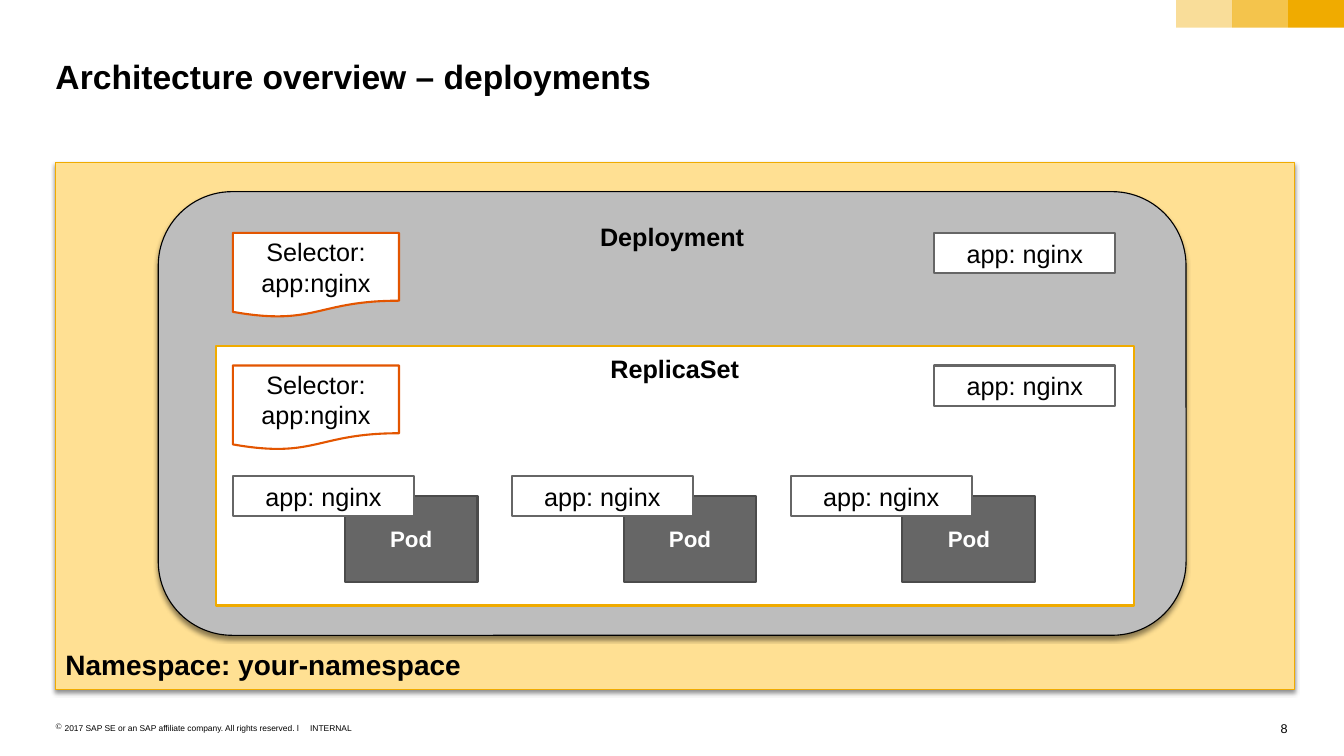
"""Build the slide showing how a deployment, its replica set and its pods are labelled."""
from dataclasses import dataclass
from typing import Optional

from lxml import etree
from pptx import Presentation
from pptx.dml.color import RGBColor
from pptx.enum.shapes import MSO_SHAPE
from pptx.enum.text import MSO_ANCHOR, PP_ALIGN
from pptx.oxml.ns import qn
from pptx.util import Cm, Pt

RECT = MSO_SHAPE.RECTANGLE
ROUNDED = MSO_SHAPE.ROUNDED_RECTANGLE
DOCUMENT = MSO_SHAPE.FLOWCHART_DOCUMENT
TOP, MIDDLE, BOTTOM = MSO_ANCHOR.TOP, MSO_ANCHOR.MIDDLE, MSO_ANCHOR.BOTTOM
LEFT, CENTER, RIGHT = PP_ALIGN.LEFT, PP_ALIGN.CENTER, PP_ALIGN.RIGHT

FONT = "Arial"
COLORS = {
    "black": "000000", "white": "FFFFFF", "gold": "F0AB00", "sand": "FFE093",
    "silver": "BDBDBD", "gray": "666666", "charcoal": "4B4B4B", "orange": "E35500",
}


@dataclass(frozen=True)
class BoxStyle:
    fill: str
    line: str
    size: float = 18
    bold: bool = False
    color: str = "black"
    preset: MSO_SHAPE = RECT
    anchor: MSO_ANCHOR = MIDDLE
    align: PP_ALIGN = CENTER
    line_width: float = 1.5
    shadow: bool = False


@dataclass(frozen=True)
class Box:
    text: str
    left: float
    top: float
    width: float
    height: float
    style: BoxStyle


@dataclass(frozen=True)
class Caption:
    text: str
    left: float
    top: float
    width: float
    height: float
    size: float
    bold: bool = False
    align: PP_ALIGN = LEFT
    wrap: bool = True
    bullet: Optional[str] = None


NAMESPACE = BoxStyle("sand", "gold", 20, True, anchor=BOTTOM, align=LEFT,
                     line_width=0.79, shadow=True)
DEPLOYMENT = BoxStyle("silver", "black", bold=True, preset=ROUNDED, anchor=TOP,
                      line_width=0.79, shadow=True)
REPLICA_SET = BoxStyle("white", "gold", bold=True, anchor=TOP)
POD = BoxStyle("gray", "charcoal", 16, True, "white")
LABEL = BoxStyle("white", "gray")
SELECTOR = BoxStyle("white", "orange", preset=DOCUMENT)

CONTENT_LEFT = 5.87
LABEL_RIGHT_COLUMN = 23.55
POD_STEP = 7.03
POD_COUNT = 3
LEVEL_TOPS = (5.87, 9.21)
BAR_WIDTH, BAR_HEIGHT, BAR_LEFT = 1.41, 0.7, 29.65
BAR_OPACITIES = (40, 70, 100)

CAPTIONS = (
    Caption("Architecture overview – deployments", 1.4, 1.4, 31.06, 1.02, 24, True),
    Caption("2017 SAP SE or an SAP affiliate company. All rights reserved. ǀ",
            1.4, 18.21, 6.3, 0.25, 6, bullet="©"),
    Caption("INTERNAL", 7.82, 18.21, 1.07, 0.25, 6, wrap=False),
    Caption("8", 32.08, 18.16, 0.38, 0.38, 9, align=RIGHT, wrap=False),
)


def rgb(name: str) -> RGBColor:
    return RGBColor.from_string(COLORS[name])


def set_opacity(color, percent: int) -> None:
    etree.SubElement(color, qn("a:alpha"), val=str(percent * 1000))


def add_shadow(shape) -> None:
    effects = shape._element.spPr.find(qn("a:effectLst"))
    outer = etree.SubElement(effects, qn("a:outerShdw"), blurRad=str(Pt(3)),
                             dist=str(Pt(2.4)), dir="5400000", rotWithShape="0")
    set_opacity(etree.SubElement(outer, qn("a:srgbClr"), val=COLORS["black"]), 45)


def add_bullet(paragraph, character: str) -> None:
    indent = Cm(0.23)
    properties = paragraph._p.get_or_add_pPr()
    properties.set("marL", str(indent))
    properties.set("indent", str(-indent))
    etree.SubElement(properties, qn("a:buChar"), char=character)


def format_runs(paragraph, size: float, bold: bool, color: str) -> None:
    for run in paragraph.runs:
        run.font.name = FONT
        run.font.size = Pt(size)
        run.font.bold = bold
        run.font.color.rgb = rgb(color)


def draw_box(slide, box: Box) -> None:
    style = box.style
    shape = slide.shapes.add_shape(style.preset, Cm(box.left), Cm(box.top),
                                   Cm(box.width), Cm(box.height))
    shape.shadow.inherit = False
    if style.shadow:
        add_shadow(shape)
    shape.fill.solid()
    shape.fill.fore_color.rgb = rgb(style.fill)
    shape.line.color.rgb = rgb(style.line)
    shape.line.width = Pt(style.line_width)
    frame = shape.text_frame
    frame.word_wrap = True
    frame.vertical_anchor = style.anchor
    frame.margin_left = frame.margin_right = Cm(0.25)
    frame.margin_top = frame.margin_bottom = Cm(0.2)
    frame.text = box.text
    paragraph = frame.paragraphs[0]
    paragraph.alignment = style.align
    format_runs(paragraph, style.size, style.bold, style.color)


def draw_caption(slide, caption: Caption) -> None:
    frame = slide.shapes.add_textbox(Cm(caption.left), Cm(caption.top),
                                     Cm(caption.width), Cm(caption.height)).text_frame
    frame.word_wrap = caption.wrap
    frame.margin_left = frame.margin_right = frame.margin_top = frame.margin_bottom = 0
    frame.text = caption.text
    paragraph = frame.paragraphs[0]
    if caption.bullet:
        add_bullet(paragraph, caption.bullet)
    paragraph.alignment = caption.align
    format_runs(paragraph, caption.size, caption.bold, "black")


def draw_corner_bars(slide) -> None:
    for index, opacity in enumerate(BAR_OPACITIES):
        bar = slide.shapes.add_shape(RECT, Cm(BAR_LEFT + index * BAR_WIDTH), 0,
                                     Cm(BAR_WIDTH), Cm(BAR_HEIGHT))
        bar.shadow.inherit = False
        bar.line.fill.background()
        bar.fill.solid()
        bar.fill.fore_color.rgb = rgb("gold")
        if opacity < 100:
            set_opacity(bar._element.spPr.find(qn("a:solidFill"))[0], opacity)


def app_label(left: float, top: float) -> Box:
    return Box("app: nginx", left, top, 4.57, 1.02, LABEL)


def architecture() -> list[Box]:
    boxes = [
        Box("Namespace: your-namespace", 1.4, 4.09, 31.24, 13.28, NAMESPACE),
        Box("Deployment", 3.99, 4.83, 25.91, 11.18, DEPLOYMENT),
        Box("ReplicaSet", 5.44, 8.71, 23.14, 6.55, REPLICA_SET),
    ]
    for index in range(POD_COUNT):
        offset = index * POD_STEP
        boxes.append(Box("Pod", 8.69 + offset, 12.5, 3.35, 2.16, POD))
        boxes.append(app_label(CONTENT_LEFT + offset, 11.99))
    for top in LEVEL_TOPS:
        boxes.append(Box("Selector: app:nginx", CONTENT_LEFT, top, 4.19, 2.13, SELECTOR))
        boxes.append(app_label(LABEL_RIGHT_COLUMN, top))
    return boxes


def main() -> None:
    presentation = Presentation()
    presentation.slide_width = Cm(33.88)
    presentation.slide_height = Cm(19.05)
    slide = presentation.slides.add_slide(presentation.slide_layouts[6])
    draw_corner_bars(slide)
    for caption in CAPTIONS:
        draw_caption(slide, caption)
    for box in architecture():
        draw_box(slide, box)
    presentation.save("out.pptx")


if __name__ == "__main__":
    main()
